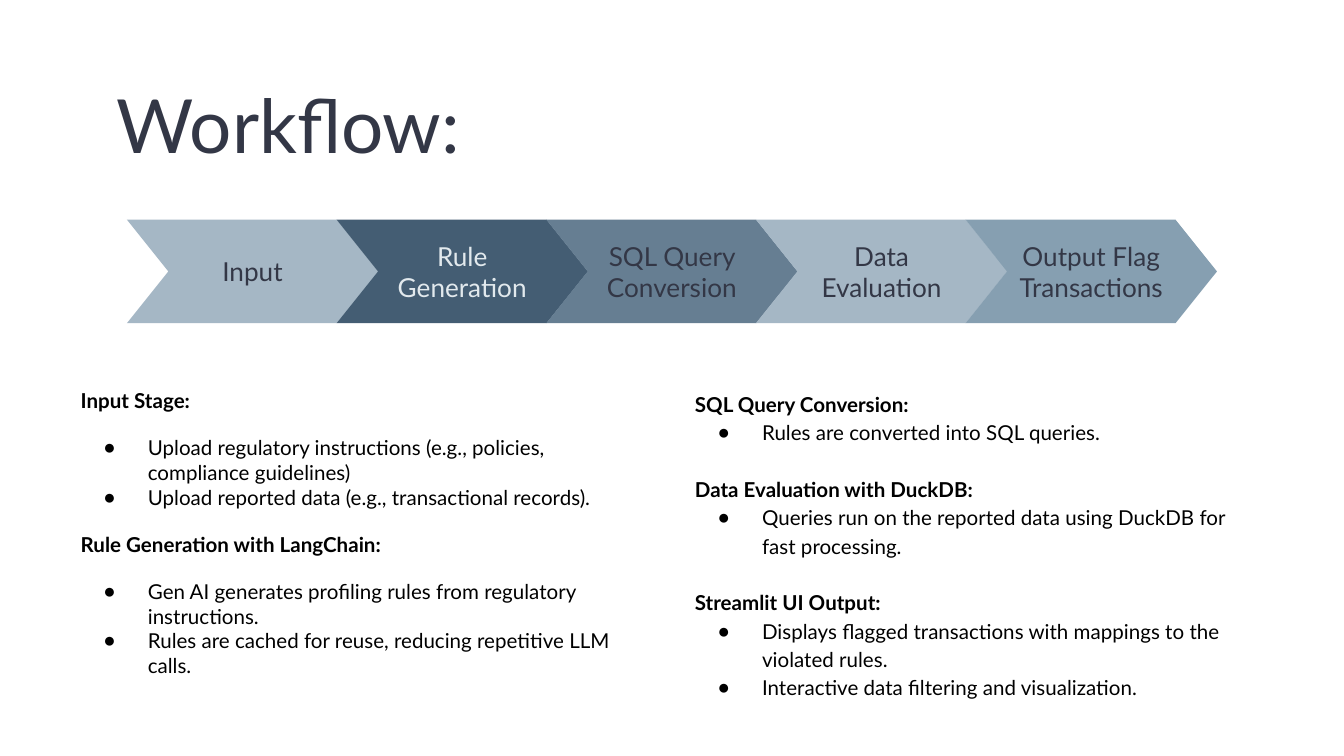
from lxml.etree import SubElement
from pptx import Presentation
from pptx.dml.color import RGBColor
from pptx.enum.shapes import MSO_SHAPE
from pptx.enum.text import MSO_ANCHOR, MSO_AUTO_SIZE, PP_ALIGN
from pptx.oxml.ns import qn
from pptx.util import Pt

PX = 4572  # 200 px to the inch
INK, BLACK = "333746", "000000"


def set_font(font, size, color, bold=False):
    formats = {"name": "Lato", "size": Pt(size), "bold": bold}
    for attribute, value in formats.items():
        setattr(font, attribute, value)
    font.color.rgb = RGBColor.from_string(color)


def set_frame(shape, box, anchor, side_margin=20):
    """Place a shape and give its text frame the common settings."""
    for side, length in zip(("left", "top", "width", "height"), box):
        setattr(shape, side, length * PX)
    formats = {
        "margin_left": side_margin * PX, "margin_right": side_margin * PX,
        "margin_top": 20 * PX, "margin_bottom": 20 * PX,
        "word_wrap": True, "auto_size": MSO_AUTO_SIZE.NONE,
        "vertical_anchor": anchor,
    }
    for attribute, value in formats.items():
        setattr(shape.text_frame, attribute, value)
    return shape.text_frame


presentation = Presentation()
presentation.slide_width, presentation.slide_height = 2000 * PX, 1125 * PX
slide = presentation.slides.add_slide(presentation.slide_layouts[3])
title, *columns = slide.placeholders

# Title
heading = set_frame(title, (154, 78, 678, 182), MSO_ANCHOR.TOP).paragraphs[0]
heading.text = "Workflow:"
heading.alignment = PP_ALIGN.LEFT
heading.line_spacing = 1.15
set_font(heading.runs[0].font, 40, INK)

# Chain of stages
stages = [
    ("Input", "A5B7C5", INK),
    ("Rule\nGeneration", "445D73", "E2E9ED"),
    ("SQL Query Conversion", "667E92", INK),
    ("Data\nEvaluation", "A5B7C5", INK),
    ("Output Flag\nTransactions", "869FB1", INK),
]
for index, (label, fill, color) in enumerate(stages):
    stage = slide.shapes.add_shape(MSO_SHAPE.CHEVRON, 0, 0, PX, PX)
    stage.adjustments[0] = 0.4
    stage.shadow.inherit = False
    stage.fill.solid()
    stage.fill.fore_color.rgb = RGBColor.from_string(fill)
    stage.line.fill.background()
    frame = set_frame(stage, (189 + 312 * index, 327, 374, 154), MSO_ANCHOR.MIDDLE, 0)
    frame.text = label
    for line in frame.paragraphs:
        line.alignment = PP_ALIGN.CENTER
        set_font(line.runs[0].font, 14, color)

# Stage details: left edge, line spacing, points before a heading and before
# its first bullet, then the sections
details = [
    (100, 1.0, 12, 12, [
        ("Input Stage:", [
            "Upload regulatory instructions (e.g., policies, compliance guidelines)",
            "Upload reported data (e.g., transactional records).",
        ]),
        ("Rule Generation with LangChain:", [
            "Gen AI generates profiling rules from regulatory instructions.",
            "Rules are cached for reuse, reducing repetitive LLM calls.",
        ]),
    ]),
    (1014, 1.15, 15.2, 0, [
        ("SQL Query Conversion:", ["Rules are converted into SQL queries."]),
        ("Data Evaluation with DuckDB:", [
            "Queries run on the reported data using DuckDB for fast processing.",
        ]),
        ("Streamlit UI Output:", [
            "Displays flagged transactions with mappings to the violated rules.",
            "Interactive data filtering and visualization.",
        ]),
    ]),
]
for column, (left, spacing, heading_gap, bullet_gap, sections) in zip(columns, details):
    frame = set_frame(column, (left, 558, 888, 300), MSO_ANCHOR.TOP)
    lines = []
    for name, steps in sections:
        lines.append((name, True, heading_gap))
        lines += [(step, False, 0 if i else bullet_gap) for i, step in enumerate(steps)]
    for index, (text, is_heading, gap) in enumerate(lines):
        paragraph = frame.add_paragraph() if index else frame.paragraphs[0]
        paragraph.text = text
        paragraph.alignment = PP_ALIGN.LEFT
        paragraph.line_spacing = spacing
        paragraph.space_before = Pt(gap if index else 0)
        paragraph.space_after = Pt(0)
        properties = paragraph._p.get_or_add_pPr()
        properties.set("marL", str(0 if is_heading else 100 * PX))
        properties.set("indent", str(0 if is_heading else -66 * PX))
        if is_heading:
            SubElement(properties, qn("a:buNone"))
        else:
            SubElement(properties, qn("a:buChar"), char="●")
        set_font(paragraph.runs[0].font, 11, BLACK, is_heading)

presentation.save("out.pptx")
